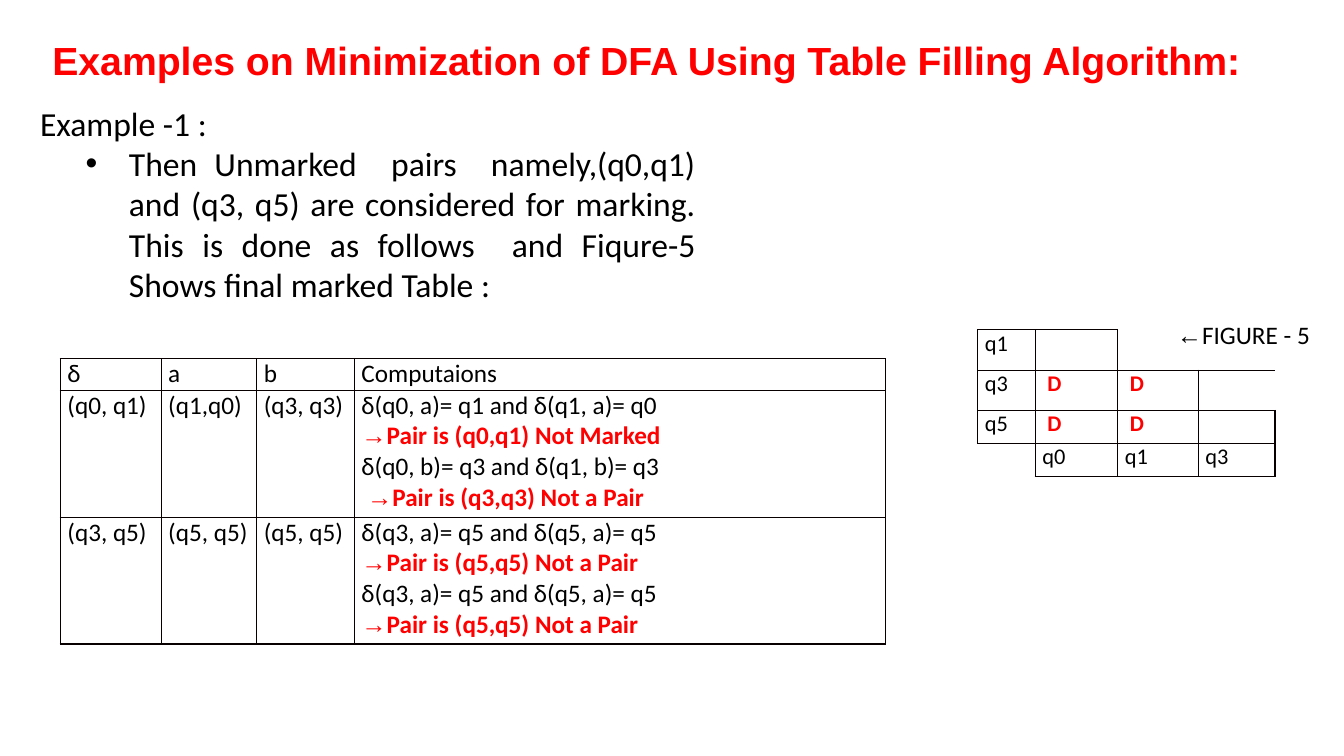
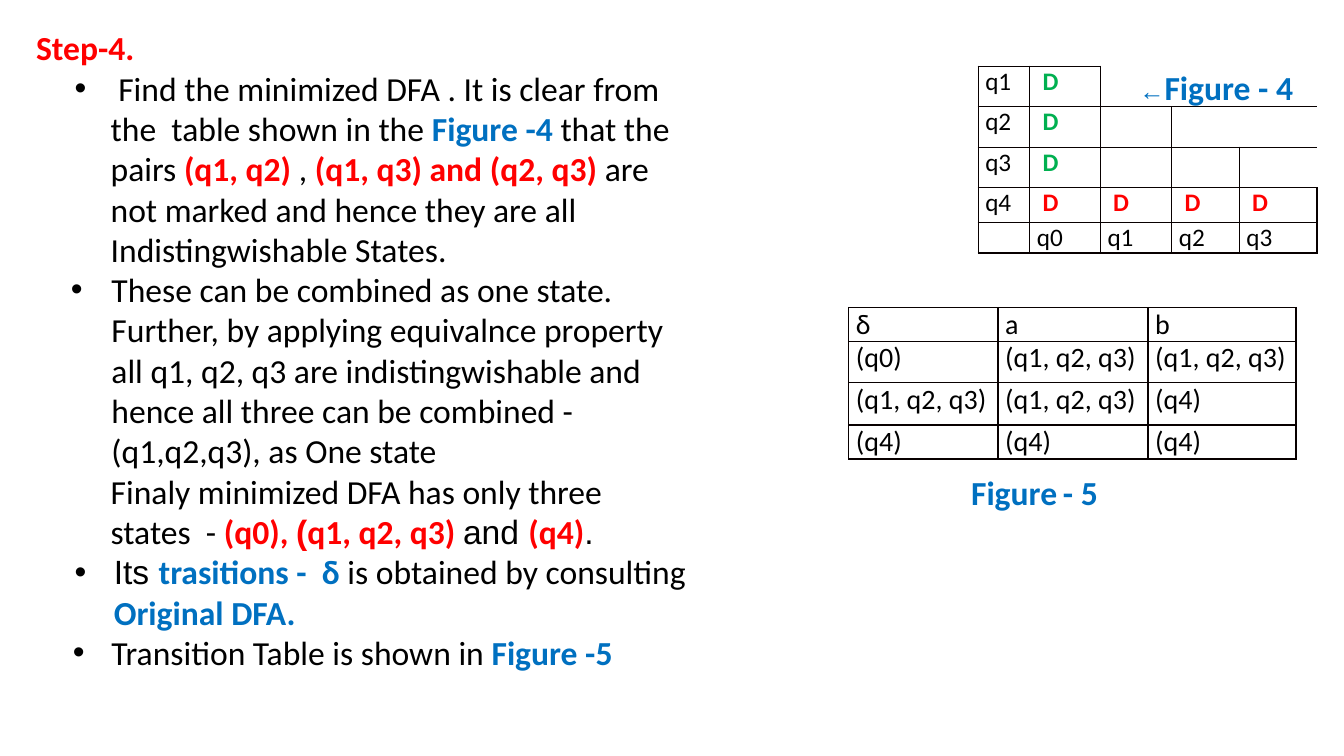
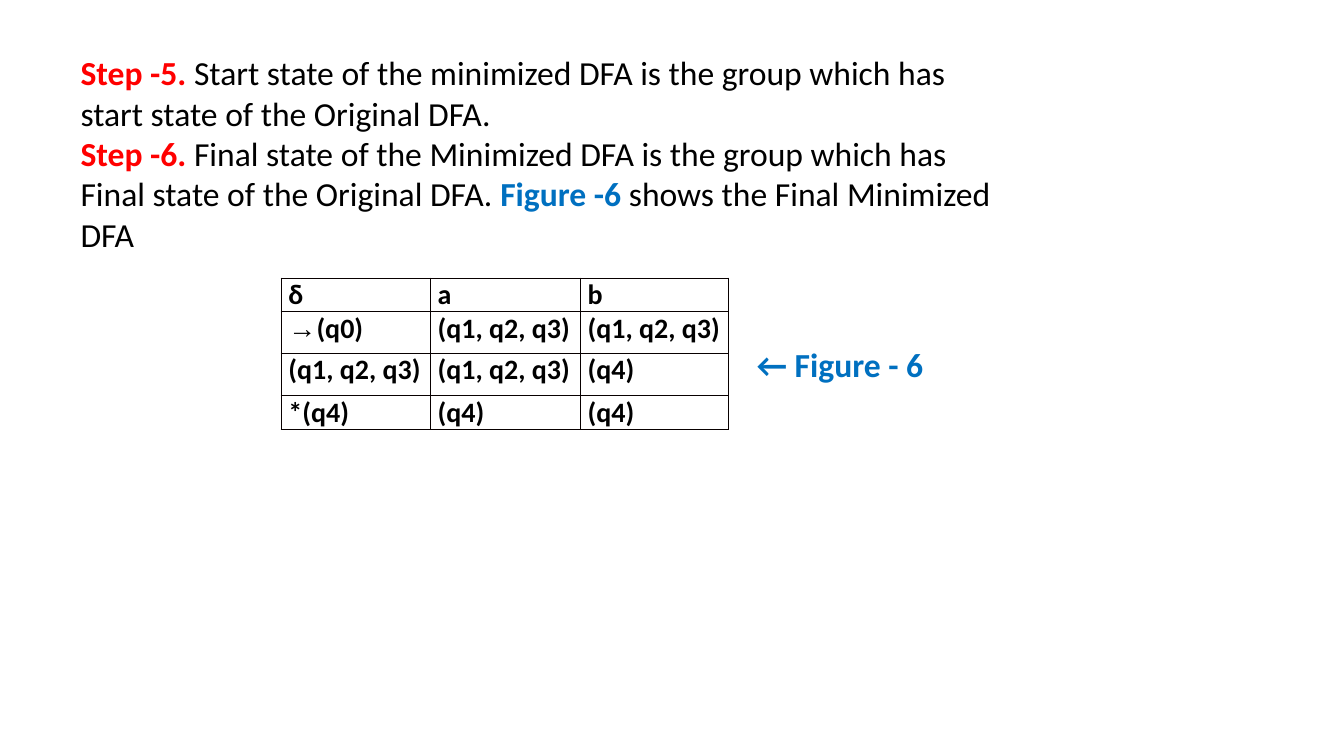
from dataclasses import dataclass
from functools import partial

from lxml import etree
from pptx import Presentation
from pptx.dml.color import RGBColor
from pptx.enum import text
from pptx.oxml.ns import qn
from pptx.util import Cm, Pt


@dataclass(frozen=True)
class Theme:
    black: str = "000000"
    red: str = "FF0000"
    blue: str = "0070C0"
    green: str = "00B050"
    border: str = "080000"
    font: str = "Calibri"
    symbol_font: str = "Arial"
    title: int = 28
    body: int = 24
    cell_large: int = 20
    cell: int = 18
    cell_small: int = 16
    cell_inset: float = 0.18
    border_width: int = 1
    table_style: str = "{2D5ABB26-0587-4C30-8999-92F81FD0307C}"


THEME = Theme()


@dataclass(frozen=True)
class Run:
    text: str
    color: str = THEME.black
    bold: bool = False
    font: str = THEME.font
    size: int = 0


@dataclass(frozen=True)
class Bullet:
    """A paragraph with a hanging indent, in centimetres."""
    runs: list
    margin: float
    hang: float
    mark: str = "•"


red = partial(Run, color=THEME.red, bold=True)
blue = partial(Run, color=THEME.blue, bold=True)
green = partial(Run, color=THEME.green, bold=True)
symbol = partial(Run, font=THEME.symbol_font)
red_symbol = partial(red, font=THEME.symbol_font)


def set_indent(p, bullet):
    pPr = p._p.get_or_add_pPr()
    pPr.set("marL", str(Cm(bullet.margin)))
    pPr.set("indent", str(-Cm(bullet.hang)))
    if bullet.mark:
        etree.SubElement(pPr, qn("a:buFont"), typeface=THEME.symbol_font)
        etree.SubElement(pPr, qn("a:buChar"), char=bullet.mark)


def write(tf, lines, size, bold=False):
    """Fill a text frame; a line is a Bullet, a list of runs or a single run."""
    for i, line in enumerate(lines):
        p = tf.add_paragraph() if i else tf.paragraphs[0]
        if isinstance(line, Bullet):
            set_indent(p, line)
            line = line.runs
        for part in line if isinstance(line, list) else [line]:
            run = Run(part) if isinstance(part, str) else part
            r = p.add_run()
            r.text = run.text
            r.font.name = run.font
            r.font.size = Pt(run.size or size)
            r.font.bold = bold or run.bold
            r.font.color.rgb = RGBColor.from_string(run.color)


def add_text(slide, box, lines, size=THEME.body):
    sp = slide.shapes.add_textbox(*map(Cm, box))
    tf = sp.text_frame
    tf.word_wrap = True
    write(tf, lines, size)
    return tf


def add_title(slide, box, title):
    tf = add_text(slide, box, [red_symbol(title)], THEME.title)
    tf.vertical_anchor = text.MSO_ANCHOR.MIDDLE
    tf.paragraphs[0].line_spacing = 0.9


def set_borders(cell, sides):
    tcPr = cell._tc.get_or_add_tcPr()
    for side in sides:
        ln = etree.SubElement(tcPr, qn(f"a:ln{side}"), w=str(Pt(THEME.border_width)))
        fill = etree.SubElement(ln, qn("a:solidFill"))
        etree.SubElement(fill, qn("a:srgbClr"), val=THEME.border)
    cell.fill.background()


def add_grid(slide, corner, widths, heights, rows, size, bold=False):
    """Add a ruled table; short rows leave a staircase, None leaves a corner open."""
    frame = slide.shapes.add_table(
        len(heights), len(widths), *map(Cm, (*corner, sum(widths), sum(heights))))
    table = frame.table
    table.first_row = table.horz_banding = False
    table._tbl.tblPr.find(qn("a:tableStyleId")).text = THEME.table_style
    for col, width in zip(table.columns, widths):
        col.width = Cm(width)
    for row, height in zip(table.rows, heights):
        row.height = Cm(height)
    last = len(widths) - 1
    for i, row in enumerate(rows):
        for j, content in enumerate(row):
            cell = table.cell(i, j)
            cell.margin_left = cell.margin_right = Cm(THEME.cell_inset)
            cell.margin_top = cell.margin_bottom = 0
            set_borders(cell, "RT" if content is None else "LRTB")
            if content:
                lines = content if isinstance(content, tuple) else (content,)
                write(cell.text_frame, lines, size, bold)
        if len(row) <= last:
            gap = table.cell(i, len(row))
            set_borders(gap, "LB")
            if len(row) < last:
                gap.merge(table.cell(i, last))


def add_transitions(slide, corner, start, final, bold=False):
    """Add the transition table of the minimized DFA."""
    group = "(q1, q2, q3)"
    rows = [["δ", "a", "b"],
            [start, group, group],
            [group, group, "(q4)"],
            [final, "(q4)", "(q4)"]]
    add_grid(slide, corner, [3.76, 3.78, 3.73], [0.84, 1.04, 1.07, 0.86],
             rows, THEME.cell_large, bold)


def marking_slide(slide):
    add_title(slide, (1.07, 0.66, 31.88, 1.83),
              "Examples on Minimization of DFA Using Table Filling Algorithm:")
    tf = add_text(slide, (0.76, 2.46, 17.02, 15.67), [
        "Example -1 :",
        Bullet(["Then Unmarked  pairs  namely,(q0,q1) and (q3, q5) are considered for "
                "marking. This is done as follows  and Fiqure-5 Shows final marked "
                "Table :"], 2.24, 1.09)])
    tf.paragraphs[1].alignment = text.PP_ALIGN.JUSTIFY
    tf.paragraphs[1].level = 1

    marked = red(" D")
    add_grid(slide, (24.64, 8.31), [1.45, 2.08, 2.03, 1.93], [0.83] * 4,
             [["q1", ""],
              ["q3", marked, marked],
              ["q5", marked, marked, ""],
              [None, "q0", "q1", "q3"]], THEME.cell_small)
    add_text(slide, (29.41, 7.92, 4.24, 1.02), [[symbol("←"), "FIGURE - 5"]], THEME.cell)

    arrow = red_symbol("→")
    not_a_pair = [arrow, red("Pair is (q5,q5) Not a Pair")]
    q3_q5 = "δ(q3, a)= q5 and δ(q5, a)= q5"
    add_grid(slide, (1.52, 9.04), [2.54, 2.41, 2.46, 13.39], [0.79, 3.2, 3.2],
             [["δ", "a", "b", "Computaions"],
              ["(q0, q1)", "(q1,q0)", "(q3, q3)",
               ("δ(q0, a)= q1 and δ(q1, a)= q0",
                [arrow, red("Pair is (q0,q1) Not Marked")],
                "δ(q0, b)= q3 and δ(q1, b)= q3",
                [red(" "), arrow, red("Pair is (q3,q3) Not a Pair")])],
              ["(q3, q5)", "(q5, q5)", "(q5, q5)",
               (q3_q5, not_a_pair, q3_q5, not_a_pair)]], THEME.cell)


def minimizing_slide(slide):
    add_text(slide, (0.66, 0.56, 16.94, 16.66), [
        red("Step-4."),
        Bullet([" Find the minimized DFA . It is clear from the  table shown in the ",
                blue("Figure -4"), " that the pairs ", red("(q1, q2)"), " , ",
                red("(q1, q3) and (q2, q3)"),
                " are not marked and hence they are all Indistingwishable States."],
               1.88, 0.91),
        Bullet(["These can be combined as one state. Further, by applying equivalnce "
                "property all q1, q2, q3 are indistingwishable and hence all three can "
                "be combined - (q1,q2,q3), as One state"], 1.9, 1.02),
        Bullet(["Finaly minimized DFA has only three states  - ", red("(q0), "),
                red_symbol("("), red("q1, q2, q3) "), symbol("and "), red("(q4)"),
                symbol(".")], 1.88, 0, mark=""),
        Bullet([symbol("Its "), blue("trasitions -  δ "), "is obtained by consulting ",
                blue("Original DFA.")], 1.96, 0.99),
        Bullet(["Transition Table is shown in ", blue("Figure -5")], 1.9, 0.97)])

    first, later = green(" D"), red(" D")
    add_grid(slide, (24.65, 1.67), [1.3, 1.78, 1.8, 1.7, 1.96],
             [1.02, 1.02, 1.02, 0.88, 0.76],
             [["q1", first],
              ["q2", first, ""],
              ["q3", first, "", ""],
              ["q4"] + [later] * 4,
              ["", "q0", "q1", "q2", "q3"]], THEME.cell)
    space = Run(" ", size=THEME.cell)
    add_text(slide, (28.32, 1.57, 5.38, 1.27),
             [[space, blue("←", font=THEME.symbol_font, size=THEME.cell),
               blue("Figure - 4")]])
    add_transitions(slide, (21.39, 7.75), "(q0)", "(q4)")
    add_text(slide, (24.08, 11.76, 5.38, 1.27),
             [[space, blue("Figure"), space, blue("- 5")]])


def result_slide(slide):
    add_text(slide, (1.78, 1.19, 23.62, 6.4), [
        [red("Step -5."), " Start state of the minimized DFA is the group which has "
                          "start state of the Original DFA."],
        [red("Step -6."), " Final state of the Minimized DFA is the group which has "
                          "Final state of the Original DFA.",
         blue(" Figure -6"), " shows the Final Minimized DFA"]])
    add_transitions(slide, (7.09, 7.01), [symbol("→"), "(q0)"], "*(q4)", bold=True)
    add_text(slide, (18.82, 8.53, 5.38, 1.27), [blue("← Figure - 6")])


def main():
    prs = Presentation()
    prs.slide_width, prs.slide_height = Cm(33.87), Cm(19.05)
    for build in (marking_slide, minimizing_slide, result_slide):
        build(prs.slides.add_slide(prs.slide_layouts[6]))
    prs.save("out.pptx")


if __name__ == "__main__":
    main()
